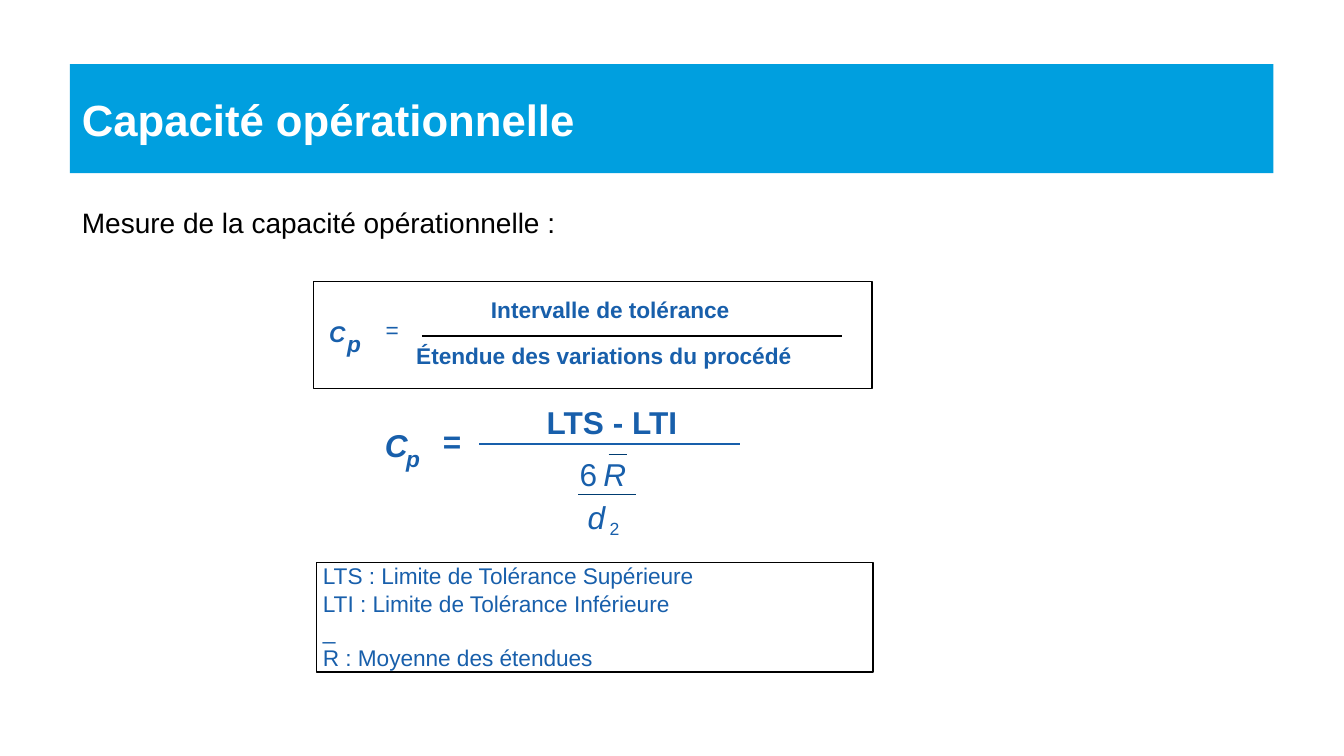
from lxml import etree
from pptx import Presentation
from pptx.dml.color import RGBColor
from pptx.enum.shapes import MSO_CONNECTOR, MSO_SHAPE
from pptx.enum.text import MSO_ANCHOR, PP_ALIGN
from pptx.oxml.ns import qn
from pptx.util import Cm, Pt

RECT, LINE = MSO_SHAPE.RECTANGLE, MSO_CONNECTOR.STRAIGHT
TOP, MIDDLE, LEFT = MSO_ANCHOR.TOP, MSO_ANCHOR.MIDDLE, PP_ALIGN.LEFT

HEX = {"band": "009FDF", "white": "FFFFFF", "black": "000000",
       "blue": "185FAB", "navy": "003C71"}
FONT = "Arial"
BIG, MID, SMALL = 18.8, 13.5, 10.5

# Content: lengths in cm
TITLE = "Capacité opérationnelle"
INTRO = "Mesure de la capacité opérationnelle :"
LEGEND = [
    "LTS : Limite de Tolérance Supérieure",
    "LTI : Limite de Tolérance Inférieure",
    "_",
    "R : Moyenne des étendues",
]

# text, left, top, width, size, style (b bold, i italic)
TERMS = [
    # Formula in words
    ("C", 6.91, 6.71, 0.36, MID, "bi"),
    ("p", 7.29, 6.93, 0.23, MID, "bi"),
    ("=", 8.1, 6.63, 0.28, MID, ""),
    ("Intervalle de tolérance", 10.31, 6.22, 5.08, MID, "b"),
    ("Étendue des variations du procédé", 8.74, 7.19, 7.98, MID, "b"),
    # Formula in symbols
    ("C", 8.08, 8.94, 0.48, BIG, "bi"),
    ("p", 8.53, 9.35, 0.3, MID, "bi"),
    ("=", 9.3, 8.86, 0.38, BIG, "b"),
    ("LTS - LTI", 11.48, 8.46, 2.77, BIG, "b"),
    ("6", 12.17, 9.55, 0.38, BIG, ""),
    ("R", 12.67, 9.55, 0.48, BIG, "i"),
    ("d", 12.34, 10.46, 0.38, BIG, "i"),
    ("2", 12.8, 10.87, 0.2, SMALL, ""),
]

# left, right, height on the slide, colour
BARS = [
    (8.86, 17.68, 7.06, "black"),
    (10.06, 15.54, 9.32, "blue"),
    (12.14, 13.36, 10.39, "navy"),
    (12.78, 13.16, 9.55, "navy"),
]

deck = Presentation()
deck.slide_width, deck.slide_height = Cm(28.22), Cm(15.88)
slide = deck.slides.add_slide(deck.slide_layouts[6])
shapes = slide.shapes


def write(shape, text, size, color, style="", wrap=True, anchor=TOP):
    frame = shape.text_frame
    frame.text = text
    frame.word_wrap = wrap
    frame.vertical_anchor = anchor
    for para in frame.paragraphs:
        para.alignment = LEFT
        for run in para.runs:
            font = run.font
            font.name, font.size = FONT, Pt(size)
            font.bold, font.italic = "b" in style, "i" in style
            font.color.rgb = RGBColor.from_string(HEX[color])
    return frame


def pad(frame, left=0):
    frame.margin_left = Cm(left)
    frame.margin_top = frame.margin_right = frame.margin_bottom = 0


def add_rect(left, top, width, height, fill=None):
    rect = shapes.add_shape(RECT, Cm(left), Cm(top), Cm(width), Cm(height))
    rect.shadow.inherit = False
    if fill:
        rect.fill.solid()
        rect.fill.fore_color.rgb = RGBColor.from_string(HEX[fill])
        rect.line.fill.background()
    else:
        rect.fill.background()
        rect.line.color.rgb = RGBColor.from_string(HEX["black"])
        rect.line.width = Pt(0.75)
    return rect


# Title band and intro
band = add_rect(1.47, 1.35, 25.27, 2.29, "band")
write(band, TITLE, 26, "white", "b", anchor=MIDDLE)
intro = shapes.add_textbox(Cm(1.47), Cm(4.2), Cm(22.25), Cm(1))
write(intro, INTRO, 16.7, "black")

# Frames for the word formula and the legend
add_rect(6.58, 5.92, 11.73, 2.24)
legend = add_rect(6.65, 11.81, 11.68, 2.31)
pad(write(legend, "\n".join(LEGEND), MID, "blue"), 0.13)

# Formula terms
for text, left, top, width, size, style in TERMS:
    box = shapes.add_textbox(Cm(left), Cm(top), Cm(width), Pt(size * 1.2))
    pad(write(box, text, size, "blue", style, wrap=False))

# Fraction bars and the mean bar over R
for left, right, y, color in BARS:
    bar = shapes.add_connector(LINE, Cm(left), Cm(y), Cm(right), Cm(y))
    bar.line.color.rgb = RGBColor.from_string(HEX[color])
    bar.line.width = Pt(1)
    etree.SubElement(bar._element.spPr, qn("a:effectLst"))

deck.save("out.pptx")
